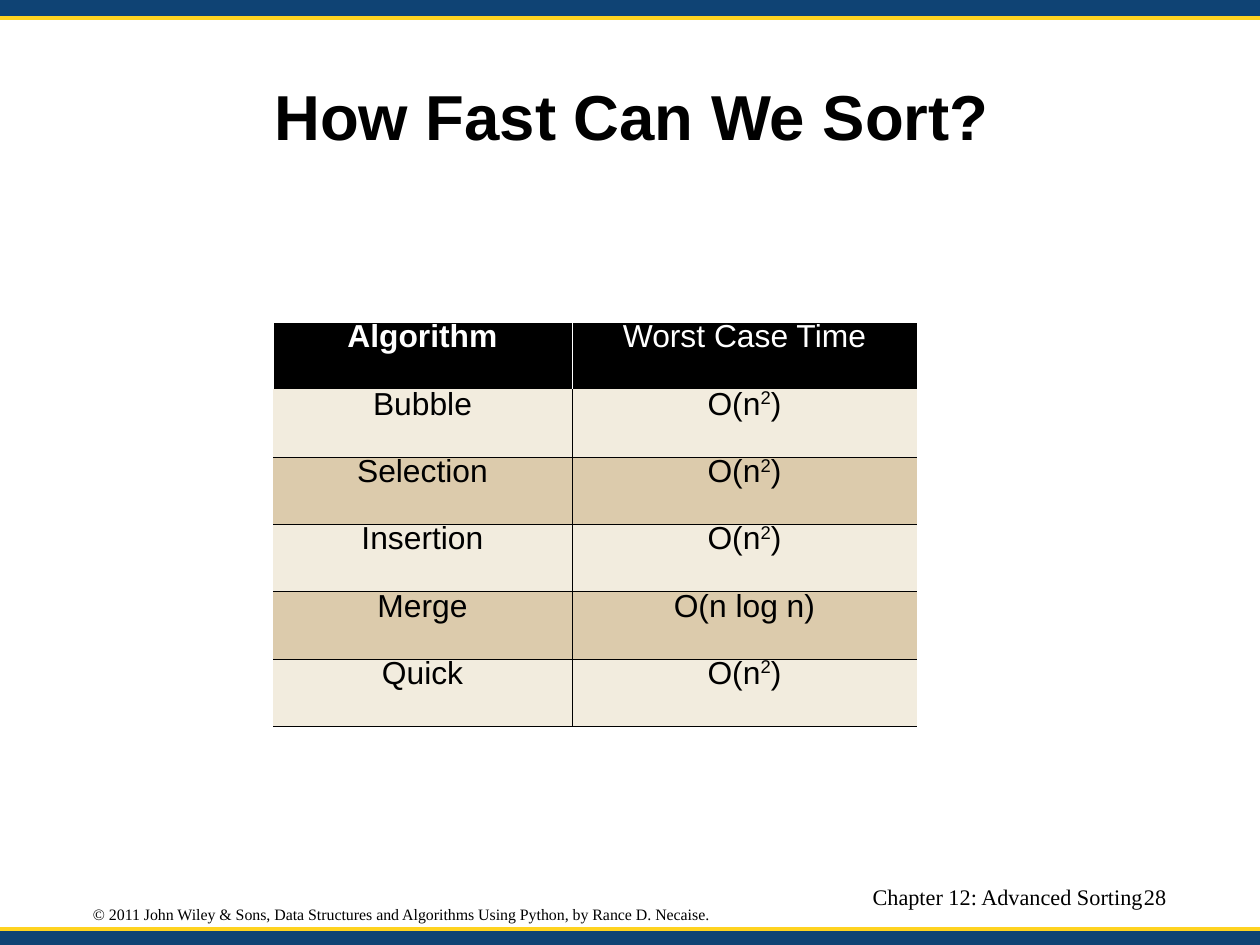
from lxml import etree
from pptx import Presentation
from pptx.dml.color import RGBColor
from pptx.enum.shapes import MSO_CONNECTOR, MSO_SHAPE
from pptx.enum.text import MSO_ANCHOR, PP_ALIGN
from pptx.oxml.ns import qn
from pptx.util import Emu, Pt

PX = 8000
WIDTH, HEIGHT = 1260, 945
BAR_HEIGHT = 18
BLACK = RGBColor(0x00, 0x00, 0x00)
WHITE = RGBColor(0xFF, 0xFF, 0xFF)
NAVY = RGBColor(0x0F, 0x43, 0x74)
GOLD = RGBColor(0xFF, 0xD3, 0x20)
CREAM = RGBColor(0xF2, 0xEC, 0xDE)
TAN = RGBColor(0xDC, 0xCB, 0xAC)
SANS, SERIF = "Arial", "Times New Roman"
LEFT, CENTER, RIGHT = PP_ALIGN.LEFT, PP_ALIGN.CENTER, PP_ALIGN.RIGHT
TOP, MIDDLE = MSO_ANCHOR.TOP, MSO_ANCHOR.MIDDLE
RECTANGLE, STRAIGHT = MSO_SHAPE.RECTANGLE, MSO_CONNECTOR.STRAIGHT
TITLE_ONLY = 5
NO_STYLE = "{2D5ABB26-0587-4C30-8999-92F81FD0307C}"
BORDER_WIDTH = Pt(0.06)
QUADRATIC = ("O(n", "2", ")")
ROWS = [
    (("Algorithm",), ("Worst Case Time",)),
    (("Bubble",), QUADRATIC),
    (("Selection",), QUADRATIC),
    (("Insertion",), QUADRATIC),
    (("Merge",), ("O(n log n)",)),
    (("Quick",), QUADRATIC),
]


def px(*lengths):
    return [Emu(length * PX) for length in lengths]


def add_span(para, text, size, font, color=BLACK, bold=False):
    span = para.add_run()
    span.text = text
    span.font.size = Pt(size)
    span.font.name = font
    span.font.bold = bold
    span.font.color.rgb = color
    return span


def set_frame(frame, align, anchor, top_inset=0, wrap=True):
    frame.margin_left = frame.margin_right = frame.margin_bottom = 0
    frame.margin_top = Emu(top_inset * PX)
    frame.word_wrap = wrap
    frame.vertical_anchor = anchor
    para = frame.paragraphs[0]
    para.alignment = align
    para.line_spacing = 0.93
    return para


def add_bar(page, top):
    bar = page.shapes.add_shape(RECTANGLE, *px(0, top, WIDTH, BAR_HEIGHT))
    bar.shadow.inherit = False
    bar.fill.solid()
    bar.fill.fore_color.rgb = NAVY
    bar.line.fill.background()


def add_rule(page, y):
    rule = page.shapes.add_connector(STRAIGHT, *px(0, y, WIDTH, y))
    rule.line.color.rgb = GOLD
    rule.line.width = Pt(2)
    etree.SubElement(rule._element.spPr, qn("a:effectLst"))


def add_label(page, bounds, text, size, align=LEFT, anchor=TOP, top_inset=0, wrap=True):
    box = page.shapes.add_textbox(*px(*bounds))
    para = set_frame(box.text_frame, align, anchor, top_inset, wrap)
    add_span(para, text, size, SERIF)


def set_title(page, text):
    title = page.shapes.title
    title.left, title.top, title.width, title.height = px(63, 38, 1137, 158)
    para = set_frame(title.text_frame, CENTER, MIDDLE, 5)
    add_span(para, text, 40, SANS, bold=True)


def set_borders(cell, color, sides):
    properties = cell._tc.get_or_add_tcPr()
    for index, side in enumerate(sides):
        border = etree.Element(qn(f"a:ln{side}"), w=str(BORDER_WIDTH))
        fill = etree.SubElement(border, qn("a:solidFill"))
        etree.SubElement(fill, qn("a:srgbClr"), val=str(color))
        properties.insert(index, border)


def fill_cell(cell, row, column, parts):
    header = row == 0
    cell.margin_left = cell.margin_right = Emu((11 if header else 8) * PX)
    cell.fill.solid()
    cell.fill.fore_color.rgb = BLACK if header else (TAN, CREAM)[row % 2]
    if header:
        set_borders(cell, WHITE, "LRT")
    else:
        set_borders(cell, BLACK, "RB" if column == 0 else "LB")
    para = cell.text_frame.paragraphs[0]
    para.alignment = CENTER
    para.line_spacing = 0.71
    for index, text in enumerate(parts):
        color = WHITE if header else BLACK
        span = add_span(para, text, 20, SANS, color, header and column == 0)
        if index == 1:
            span.font._element.set("baseline", "33000")


def add_algorithm_table(page):
    frame = page.shapes.add_table(len(ROWS), 2, *px(273, 322, 644, 404))
    table = frame.table
    table._tbl.tblPr.find(qn("a:tableStyleId")).text = NO_STYLE
    table.horz_banding = False
    for column, width in zip(table.columns, px(299, 345)):
        column.width = width
    for row, entries in enumerate(ROWS):
        for column, parts in enumerate(entries):
            fill_cell(table.cell(row, column), row, column, parts)


def main():
    deck = Presentation()
    deck.slide_width, deck.slide_height = px(WIDTH, HEIGHT)
    page = deck.slides.add_slide(deck.slide_layouts[TITLE_ONLY])
    bottom = HEIGHT - BAR_HEIGHT + 2
    for top in (0, bottom):
        add_bar(page, top)
    for y in (BAR_HEIGHT, bottom):
        add_rule(page, y)
    add_label(
        page, (93, 906, 623, 17),
        "© 2011 John Wiley & Sons, Data Structures and Algorithms Using Python, by Rance D. Necaise.",
        10, anchor=MIDDLE, top_inset=1, wrap=False,
    )
    set_title(page, "How Fast Can We Sort?")
    add_algorithm_table(page)
    add_label(page, (744, 886, 399, 39), "Chapter 12: Advanced Sorting", 14, RIGHT)
    add_label(page, (1144, 886, 53, 39), "28", 14)
    deck.save("out.pptx")


if __name__ == "__main__":
    main()
